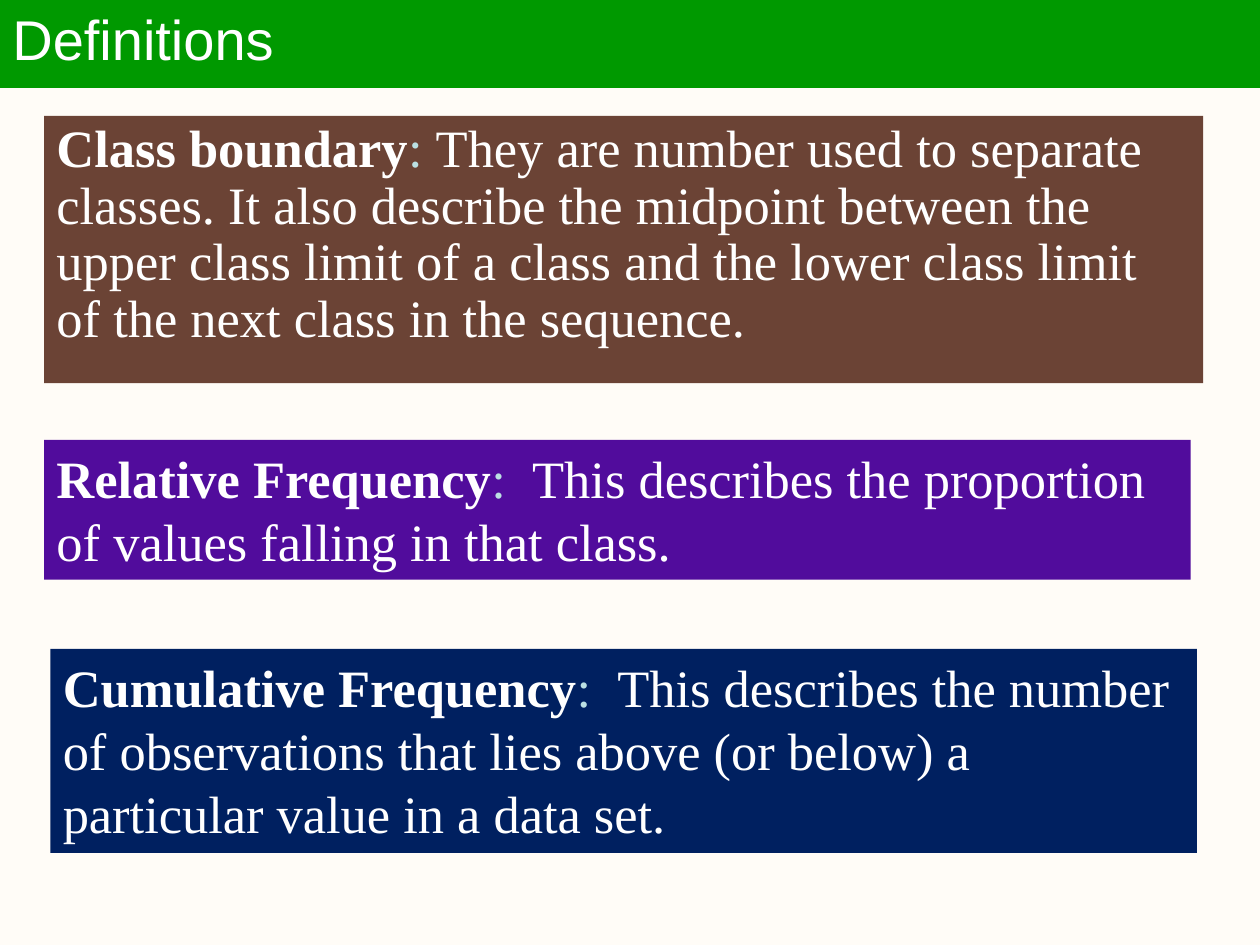
from pptx import Presentation
from pptx.dml.color import RGBColor as Rgb
from pptx.enum.shapes import MSO_SHAPE as Kind
from pptx.enum.text import MSO_ANCHOR as Anchor, PP_ALIGN as Align
from pptx.util import Inches, Pt

WHITE, PALE, GREEN = "FFFFFF", "BBE0E3", "009900"
TERMS = [
    ((0.35, 0.92, 9.2, 2.12), "6B4335", 0.9, "Class boundary", ": ",
     "They are number used to separate classes. It also describe the midpoint "
     "between the upper class limit of a class and the lower class limit of "
     "the next class in the sequence."),
    ((0.35, 3.49, 9.1, 1.11), "510C9C", 1.0, "Relative Frequency", ":  ",
     "This describes the proportion of values falling in that class."),
    ((0.4, 5.15, 9.1, 1.62), "002060", 1.0, "Cumulative Frequency", ":  ",
     "This describes the number of observations that lies above (or below) a "
     "particular value in a data set."),
]


def paint(fill, color):
    fill.solid()
    fill.fore_color.rgb = Rgb.from_string(color)


def panel(slide, box, color, anchor, spacing):
    """Add a filled bar; return it with its first paragraph."""
    shape = slide.shapes.add_shape(Kind.RECTANGLE, *map(Inches, box))
    shape.shadow.inherit = False
    paint(shape.fill, color)
    shape.line.fill.background()
    frame = shape.text_frame
    frame.word_wrap = True
    frame.vertical_anchor = anchor
    para = frame.paragraphs[0]
    para.alignment = Align.LEFT
    para.line_spacing = spacing
    return shape, para


def write(para, text, color, bold=False):
    run = para.add_run()
    run.text = text
    run.font.bold = bold
    paint(run.font.fill, color)


def style(para, name, size):
    para.font.name = name
    para.font.size = Pt(size)


def term(slide, box, color, spacing, name, mark, meaning):
    para = panel(slide, box, color, Anchor.TOP, spacing)[1]
    style(para, "Times New Roman", 30)
    write(para, name, WHITE, True)
    write(para, mark, PALE)
    write(para, meaning, WHITE)


def title(slide, text):
    bar, para = panel(slide, (0, -0.02, 10, 0.71), GREEN, Anchor.MIDDLE, 0.9)
    paint(bar.line.fill, GREEN)
    bar.line.width = Pt(0.75)
    style(para, "Arial", 32)
    write(para, text, WHITE)


def main():
    deck = Presentation()
    deck.slide_width, deck.slide_height = Inches(10), Inches(7.5)
    slide = deck.slides.add_slide(deck.slide_layouts[6])
    paint(slide.background.fill, "FFFCF7")
    for item in TERMS:
        term(slide, *item)
    title(slide, "Definitions")
    deck.save("out.pptx")


if __name__ == "__main__":
    main()
